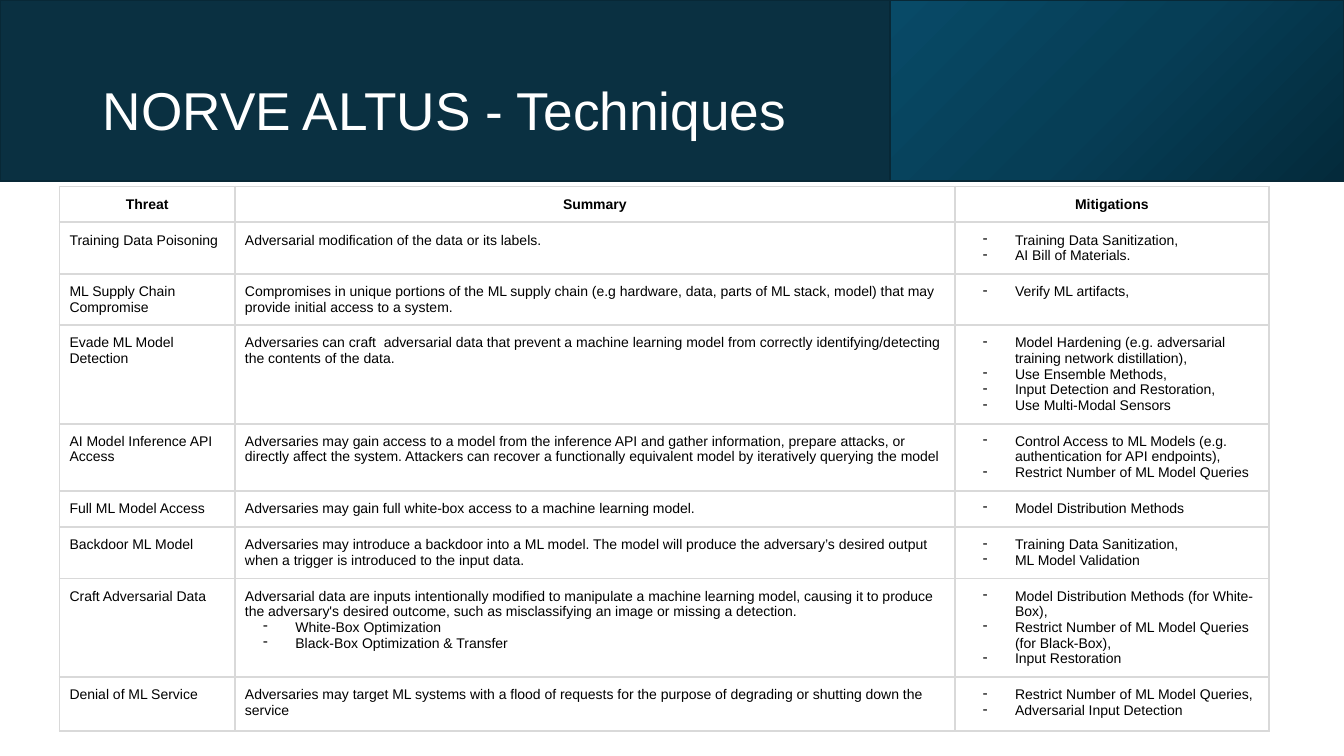
from copy import deepcopy

from lxml import etree
from pptx import Presentation
from pptx import util as u
from pptx.dml.color import RGBColor
from pptx.enum import shapes, text
from pptx.oxml import ns

NAVY = RGBColor(0x0A, 0x30, 0x41)
EDGE = RGBColor(0x08, 0x28, 0x36)
DARK = RGBColor(0x04, 0x2A, 0x3B)
MIDDLE = RGBColor(0x06, 0x3E, 0x56)
BRIGHT = RGBColor(0x08, 0x4A, 0x67)
WHITE = RGBColor(0xFF, 0xFF, 0xFF)
BLACK = RGBColor(0x00, 0x00, 0x00)
GRID = RGBColor(0xD9, 0xD9, 0xD9)

COLUMNS = [125.3, 514.1, 224.6]
HEIGHTS = [24.5, 24.5, 27.4, 56.9, 41, 25.9, 27.4, 70.6, 38.2]
HEADERS = ["Threat", "Summary", "Mitigations"]
TECHNIQUES = [
    ("Training Data Poisoning",
     ["Adversarial modification of the data or its labels."],
     ["Training Data Sanitization,", "AI Bill of Materials."]),
    ("ML Supply Chain Compromise",
     ["Compromises in unique portions of the ML supply chain (e.g hardware, data, parts of "
      "ML stack, model) that may provide initial access to a system."],
     ["Verify ML artifacts,"]),
    ("Evade ML Model Detection",
     ["Adversaries can craft  adversarial data that prevent a machine learning model from "
      "correctly identifying/detecting the contents of the data."],
     ["Model Hardening (e.g. adversarial training network distillation),",
      "Use Ensemble Methods,", "Input Detection and Restoration,",
      "Use Multi-Modal Sensors"]),
    ("AI Model Inference API Access",
     ["Adversaries may gain access to a model from the inference API and gather information, "
      "prepare attacks, or directly affect the system. Attackers can recover a functionally "
      "equivalent model by iteratively querying the model"],
     ["Control Access to ML Models (e.g. authentication for API endpoints),",
      "Restrict Number of ML Model Queries"]),
    ("Full ML Model Access",
     ["Adversaries may gain full white-box access to a machine learning model."],
     ["Model Distribution Methods"]),
    ("Backdoor ML Model",
     ["Adversaries may introduce a backdoor into a ML model. The model will produce the "
      "adversary’s desired output when a trigger is introduced to the input data."],
     ["Training Data Sanitization,", "ML Model Validation"]),
    ("Craft Adversarial Data",
     ["Adversarial data are inputs intentionally modified to manipulate a machine learning "
      "model, causing it to produce the adversary's desired outcome, such as misclassifying "
      "an image or missing a detection.",
      "White-Box Optimization", "Black-Box Optimization & Transfer"],
     ["Model Distribution Methods (for White-Box),",
      "Restrict Number of ML Model Queries (for Black-Box),", "Input Restoration"]),
    ("Denial of ML Service",
     ["Adversaries may target ML systems with a flood of requests for the purpose of "
      "degrading or shutting down the service"],
     ["Restrict Number of ML Model Queries,", "Adversarial Input Detection"]),
]


class SlideBuilder:
    font_name = "Arial"
    table_size = 10
    title_size = 38
    line_width = 1.5
    padding = 7.2

    def __init__(self, page):
        self.page = page

    def set_font(self, paragraph, size, color, bold=False):
        font = paragraph.font
        font.name, font.size, font.bold = self.font_name, u.Pt(size), bold
        font.color.rgb = color

    def band(self, left, top, width, height):
        box = self.page.shapes.add_shape(
            shapes.MSO_SHAPE.RECTANGLE, *map(u.Pt, (left, top, width, height)))
        box.shadow.inherit = False
        box.fill.solid()
        box.fill.fore_color.rgb = NAVY
        box.line.color.rgb = EDGE
        box.line.width = u.Pt(self.line_width)
        return box

    def gradient_band(self, left, top, width, height, colors, angle):
        fill = self.band(left, top, width, height).fill
        fill.gradient()
        fill.gradient_angle = angle
        first = fill.gradient_stops[0]._gs
        for _ in colors[2:]:
            first.addnext(deepcopy(first))
        for index, (stop, color) in enumerate(zip(fill.gradient_stops, colors)):
            stop.position = index / (len(colors) - 1)
            stop.color.rgb = color

    def title(self, wording, left, top, width, height):
        box = self.page.shapes.title
        box.left, box.top, box.width, box.height = map(u.Pt, (left, top, width, height))
        self.page.shapes._spTree.append(box._element)
        frame = box.text_frame
        frame.text = wording
        frame.word_wrap = True
        frame.auto_size = text.MSO_AUTO_SIZE.NONE
        frame.vertical_anchor = text.MSO_ANCHOR.MIDDLE
        para = frame.paragraphs[0]
        para.alignment = text.PP_ALIGN.LEFT
        para.line_spacing = 0.9
        self.set_font(para, self.title_size, WHITE)

    def dash(self, para):
        props = para._p.get_or_add_pPr()
        props.set("marL", str(u.Pt(36)))
        props.set("indent", str(u.Pt(-23)))
        color = etree.SubElement(props, ns.qn("a:buClr"))
        etree.SubElement(color, ns.qn("a:srgbClr"), val=str(BLACK))
        etree.SubElement(props, ns.qn("a:buChar"), char="-")

    def borders(self, cell):
        props = cell._tc.get_or_add_tcPr()
        for side in ("lnL", "lnR", "lnT", "lnB"):
            line = etree.SubElement(props, ns.qn("a:" + side), w=str(u.Pt(self.line_width)))
            fill = etree.SubElement(line, ns.qn("a:solidFill"))
            etree.SubElement(fill, ns.qn("a:srgbClr"), val=str(GRID))

    def cell(self, cell, lines, dashes_from, header=False):
        self.borders(cell)
        cell.fill.background()
        cell.margin_left = cell.margin_right = u.Pt(self.padding)
        cell.margin_top = cell.margin_bottom = u.Pt(self.padding)
        cell.text = "\n".join(lines)
        for index, para in enumerate(cell.text_frame.paragraphs):
            para.alignment = text.PP_ALIGN.CENTER if header else text.PP_ALIGN.LEFT
            if index >= dashes_from:
                self.dash(para)
            self.set_font(para, self.table_size, BLACK, header)

    def table(self, left, top, columns, heights, headers, records):
        table = self.page.shapes.add_table(
            len(heights), len(columns), u.Pt(left), u.Pt(top),
            u.Pt(sum(columns)), u.Pt(sum(heights))).table
        table.first_row = table.horz_banding = False
        for column, width in zip(table.columns, columns):
            column.width = u.Pt(width)
        for row, height in zip(table.rows, heights):
            row.height = u.Pt(height)
        for index, header in enumerate(headers):
            self.cell(table.cell(0, index), [header], 1, header=True)
        for row, (threat, summary, mitigations) in enumerate(records, 1):
            self.cell(table.cell(row, 0), [threat], 1)
            self.cell(table.cell(row, 1), summary, 1)
            self.cell(table.cell(row, 2), mitigations, 0)


def main():
    deck = Presentation()
    deck.slide_width, deck.slide_height = u.Pt(960), u.Pt(540)
    builder = SlideBuilder(deck.slides.add_slide(deck.slide_layouts[5]))
    builder.band(0, 0, 960, 129.6)
    builder.gradient_band(636, 0, 324, 129.6, [DARK, MIDDLE, BRIGHT], 135)
    builder.title("NORVE ALTUS - Techniques", 66.2, 28.8, 828, 104.4)
    builder.table(42.5, 133.2, COLUMNS, HEIGHTS, HEADERS, TECHNIQUES)
    deck.save("out.pptx")


if __name__ == "__main__":
    main()
